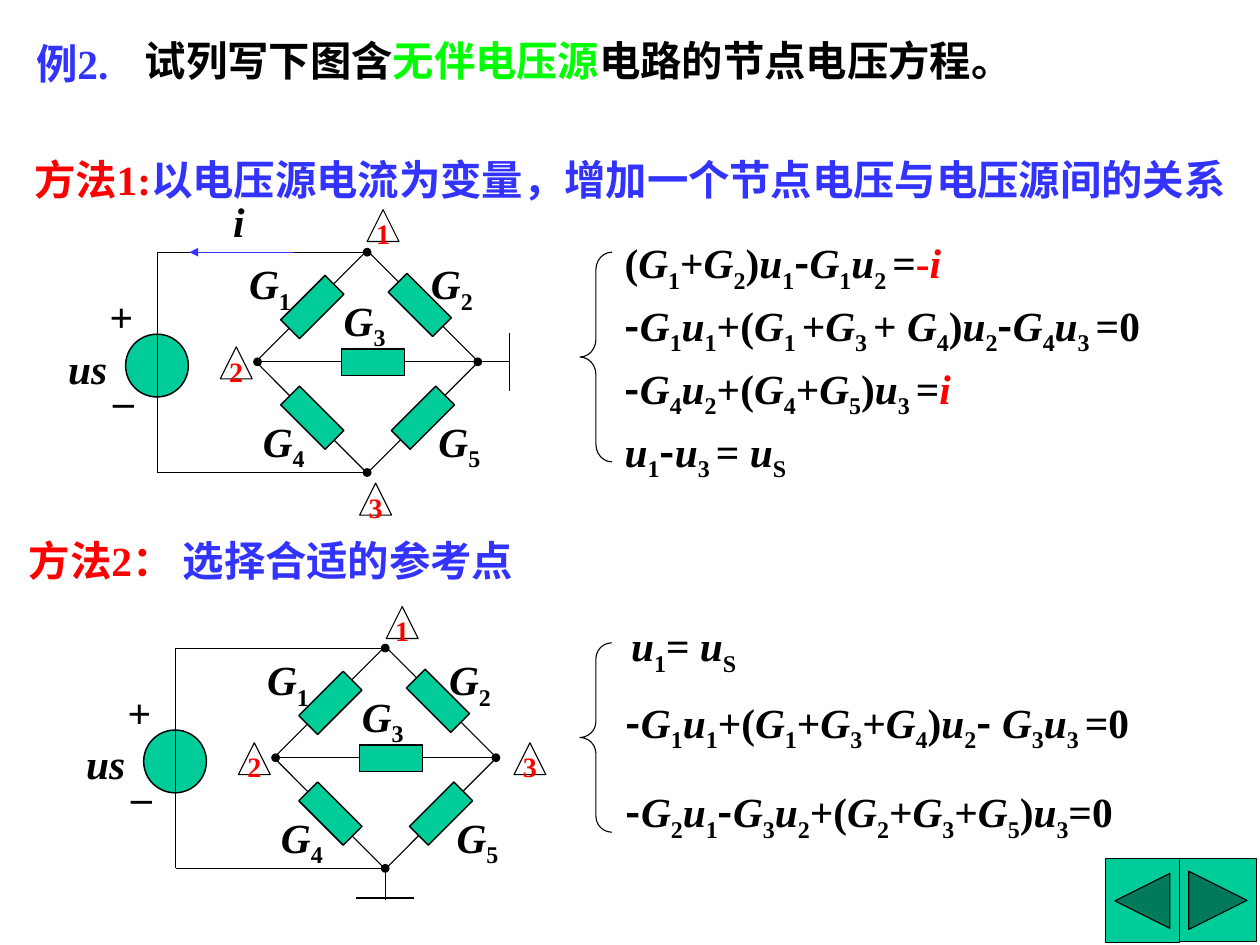
from itertools import groupby

from lxml import etree
from pptx import Presentation
from pptx.dml.color import RGBColor
from pptx.enum.shapes import MSO_CONNECTOR, MSO_SHAPE
from pptx.enum.text import MSO_ANCHOR, MSO_AUTO_SIZE, PP_ALIGN
from pptx.oxml.ns import qn
from pptx.util import Emu, Pt

PX = 9144  # 100 px to the inch

BLACK = RGBColor(0x00, 0x00, 0x00)
WHITE = RGBColor(0xFF, 0xFF, 0xFF)
RED = RGBColor(0xFF, 0x00, 0x00)
BLUE = RGBColor(0x33, 0x33, 0xFF)
GREEN = RGBColor(0x00, 0xFF, 0x00)
TEAL = RGBColor(0x00, 0xCC, 0x99)

LATIN, CJK = "Times New Roman", "Noto Sans CJK SC"
RECT, OVAL, TRIANGLE = MSO_SHAPE.RECTANGLE, MSO_SHAPE.OVAL, MSO_SHAPE.ISOSCELES_TRIANGLE
BRACE = MSO_SHAPE.LEFT_BRACE
BACK = MSO_SHAPE.ACTION_BUTTON_BACK_OR_PREVIOUS
FORWARD = MSO_SHAPE.ACTION_BUTTON_FORWARD_OR_NEXT
STRAIGHT = MSO_CONNECTOR.STRAIGHT
TOP, MIDDLE = MSO_ANCHOR.TOP, MSO_ANCHOR.MIDDLE
LEFT, CENTER = PP_ALIGN.LEFT, PP_ALIGN.CENTER
GROW, FIXED = MSO_AUTO_SIZE.SHAPE_TO_FIT_TEXT, MSO_AUTO_SIZE.NONE


def px(*values):
    return [Emu(v * PX) for v in values]


def add_run(p, text, size=28, color=BLACK, font=LATIN, italic=False, sub=False):
    r = p.add_run()
    r.text = text
    r.font.size, r.font.name = Pt(size), font
    r.font.bold, r.font.italic = True, italic
    r.font.color.rgb = color
    rpr = r.font._element
    etree.SubElement(rpr, qn("a:ea")).set("typeface", CJK)
    if sub:
        rpr.set("baseline", "-25000")


def set_frame(sp, wrap=False, anchor=TOP, align=LEFT, fit=GROW):
    tf = sp.text_frame
    tf.word_wrap, tf.auto_size, tf.vertical_anchor = wrap, fit, anchor
    tf.margin_left, tf.margin_right, tf.margin_top, tf.margin_bottom = px(12, 12, 6, 6)
    p = tf.paragraphs[0]
    p.alignment = align
    return p


def add_text(shapes, box, runs, **frame):
    """Text box whose runs are (text, format) pairs."""
    p = set_frame(shapes.add_textbox(*px(*box)), **frame)
    for text, style in runs:
        add_run(p, text, **style)


def add_shape(shapes, kind, box, fill=TEAL, width=1, rotation=0):
    sp = shapes.add_shape(kind, *px(*box))
    sp.shadow.inherit = False
    sp.rotation = rotation
    if fill is None:
        sp.fill.background()
    else:
        sp.fill.solid()
        sp.fill.fore_color.rgb = fill
    sp.line.color.rgb = BLACK
    sp.line.width = Pt(width)
    return sp


def add_line(shapes, ends, color=BLACK, width=0.75, head=None, tail=None):
    line = shapes.add_connector(STRAIGHT, *px(*ends))
    line.line.color.rgb = color
    line.line.width = Pt(width)
    ln = line.line._get_or_add_ln()
    for tag, end in (("a:headEnd", head), ("a:tailEnd", tail)):
        if end:
            etree.SubElement(ln, qn(tag)).set("type", end)
    etree.SubElement(line._element.spPr, qn("a:effectLst"))


def math_runs(markup, color=BLACK):
    """Letters are italic, _ lowers the next character, minus signs are wide."""
    chars, sub = [], False
    for ch in markup:
        if ch == "_":
            sub = True
            continue
        font = CJK if ch == "-" and color == BLACK else LATIN
        chars.append((ch, (font, ch.isalpha() and not sub, sub)))
        sub = False
    return [("".join(ch for ch, _ in group),
             dict(font=key[0], italic=key[1], sub=key[2], color=color))
            for key, group in groupby(chars, key=lambda item: item[1])]


def circuit(slide, x, y, nodes, ground):
    """Bridge circuit; x, y is the top left corner of its outer wire."""
    shapes = slide.shapes.add_group_shape().shapes

    def at(left, top, *size):
        return (x + left, y + top, *size)

    def wire(x1, y1, x2, y2, **style):
        add_line(shapes, (x + x1, y + y1, x + x2, y + y2), **style)

    # Bridge with its five conductances
    add_shape(shapes, RECT, at(123, 29, 148, 148), WHITE, 0.75, 45)
    wire(94, 103, 301, 103, head="oval", tail="oval")
    for number, left, top, angle, label_left, label_top in (
            (1, 133, 22, 45, 74, 0), (2, 234, 20, 315, 245, 0),
            (3, 190, 74, 270, 163, 34), (4, 133, 126, 315, 87, 148),
            (5, 237, 126, 45, 252, 148)):
        add_shape(shapes, RECT, at(left, top, 25, 59), rotation=angle)
        add_text(shapes, at(label_left, label_top, 65, 59), math_runs(f"G_{number}"))

    # Outer wire and voltage source
    for level in (0, 207):
        wire(197, level, 0, level, head="oval")
    wire(0, 0, 0, 207)
    add_shape(shapes, OVAL, at(-30, 77, 59, 59))
    wire(0, 29, 0, 177)
    add_text(shapes, at(-57, 30, 46, 59), [("+", {})], anchor=MIDDLE, align=CENTER)
    add_text(shapes, at(-54, 97, 44, 58), [("_", {})], wrap=True, anchor=MIDDLE, align=CENTER)
    add_text(shapes, at(-96, 79, 69, 59), math_runs("us"), wrap=True)

    # Reference point: lead and bar
    lead, bar = ground
    wire(*lead)
    wire(*bar, width=1)

    # Node numbers
    for number, (left, top) in enumerate(nodes, 1):
        sp = add_shape(shapes, TRIANGLE, at(left, top, 30, 30), WHITE, 0.75)
        p = set_frame(sp, anchor=MIDDLE, align=CENTER, fit=FIXED)
        add_run(p, str(number), size=19, color=RED)
    return shapes


def source_current(shapes, x, y):
    add_line(shapes, (x + 128, y, x + 30, y), color=BLUE, tail="triangle")
    add_text(shapes, (x + 59, y - 59, 35, 59), math_runs("i"))


def equations(slide, brace, bend, rows):
    """Left brace and rows of (left, top, width, markup, red ending)."""
    sp = add_shape(slide.shapes, BRACE, brace, None, 0.75)
    sp.adjustments[0] = bend
    for left, top, width, markup, ending in rows:
        add_text(slide.shapes, (left, top, width, 59),
                 math_runs(markup) + math_runs(ending, RED))


def headings(slide):
    title = slide.shapes.title
    title.left, title.top, title.width, title.height = px(124, 27, 1009, 59)
    p = set_frame(title, wrap=True)
    add_run(p, "试列写下图含")
    add_run(p, "无伴电压源", color=GREEN)
    add_run(p, "电路的节点电压方程。")
    add_text(slide.shapes, (22, 30, 106, 59), [("例2.", dict(color=BLUE))], wrap=True)
    for box, method, description in (
            ((20, 139, 1150, 59), "方法1:", "以电压源电流为变量，增加一个节点电压与电压源间的关系"),
            ((15, 497, 566, 59), "方法2： ", "选择合适的参考点")):
        add_text(slide.shapes, box, [(method, dict(color=RED)),
                                     (description, dict(color=BLUE))], wrap=True)


def navigation(slide):
    add_shape(slide.shapes, FORWARD, (1108, 807, 73, 78), width=0.75)
    add_shape(slide.shapes, BACK, (1039, 807, 69, 79), width=0.75)


def main():
    prs = Presentation()
    prs.slide_width, prs.slide_height = px(1184, 888)
    slide = prs.slides.add_slide(prs.slide_layouts[5])
    headings(slide)

    # Method 1: source current as an extra variable
    shapes = circuit(slide, 148, 237, [(197, -40), (59, 89), (190, 217)],
                     ((301, 103, 331, 103), (331, 130, 331, 76)))
    source_current(shapes, 148, 237)
    rows = [(343, "(G_1+G_2)u_1-G_1u_2_ =", "-i"),
            (560, "-G_1u_1+(G_1_ +G_3_ + G_4)u_2-G_4u_3_ =0", ""),
            (353, "-G_4u_2+(G_4+G_5)u_3_ =", "i"),
            (196, "u_1-u_3_ = u_S", "")]
    equations(slide, (545, 237, 30, 197), 0.55,
              [(575, 217 + 59 * i, *row) for i, row in enumerate(rows)])

    # Method 2: a suitable reference point
    circuit(slide, 165, 609, [(198, -39), (59, 89), (318, 89)],
            ((197, 207, 197, 237), (170, 235, 224, 235)))
    equations(slide, (545, 604, 30, 178), 0.5,
              [(581, 577, 128, "u_1= u_S", ""),
               (576, 649, 547, "-G_1u_1+(G_1+G_3+G_4)u_2- G_3u_3_ =0", ""),
               (576, 733, 528, "-G_2u_1-G_3u_2+(G_2+G_3+G_5)u_3=0", "")])

    navigation(slide)
    prs.save("out.pptx")


if __name__ == "__main__":
    main()
